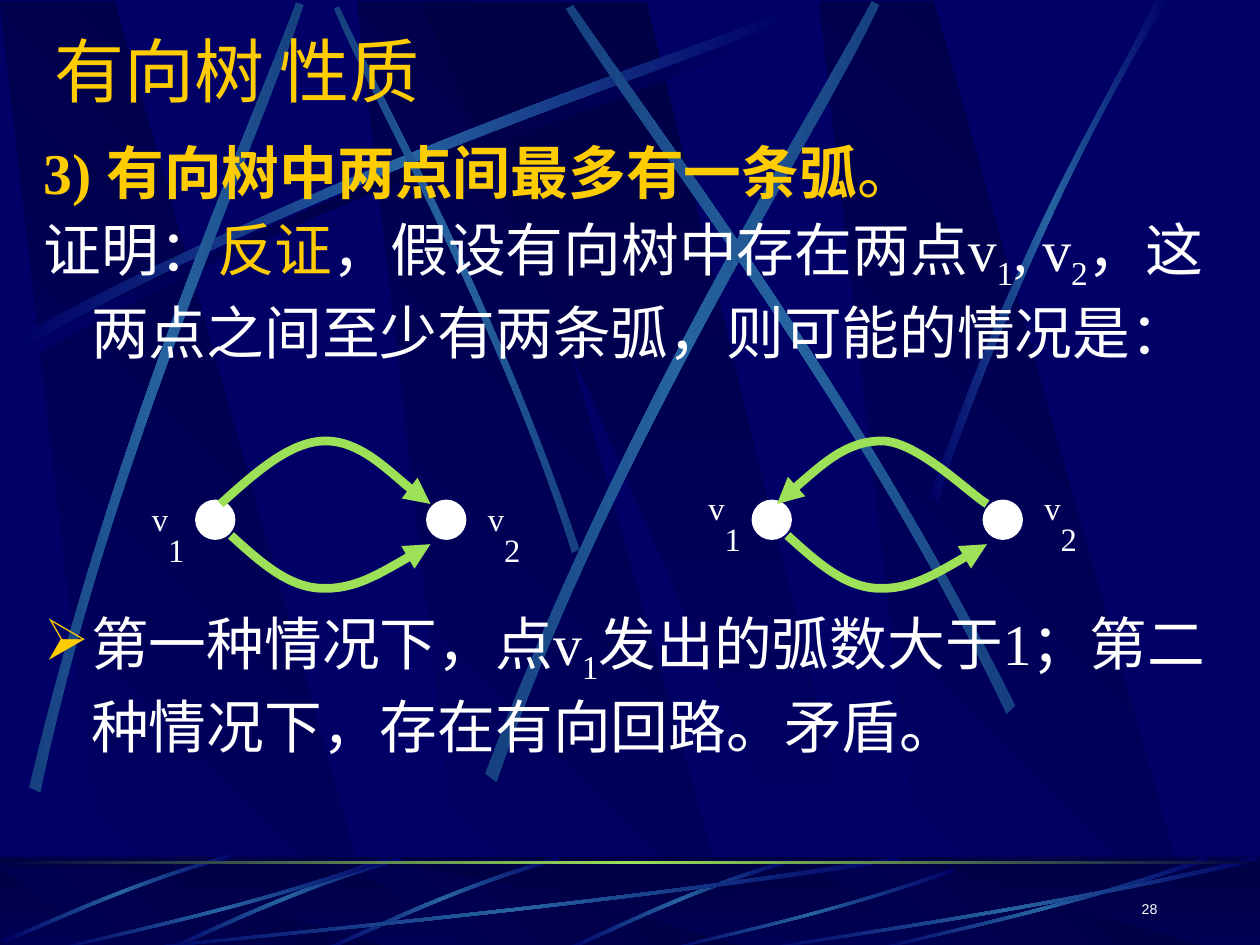
from pptx import Presentation
from pptx.dml.color import RGBColor
from pptx.enum.shapes import MSO_SHAPE as SHAPE
from pptx.enum.text import MSO_ANCHOR as ANCHOR, PP_ALIGN as ALIGN
from pptx.oxml import parse_xml
from pptx.oxml.ns import nsdecls, qn
from pptx.util import Pt
from lxml.etree import SubElement

NAVY, DARK, STEEL, DUSK = "000066", "000044", "2663A0", "164080"
GOLD, WHITE, GREEN = "FFCC00", "FFFFFF", "9CE157"
SERIF, CJK, SANS = "Times New Roman", "Noto Sans CJK SC", "Arial"

TITLE = "有向树 性质"
# Paragraph: space before, bullet, runs of (text, colour, bold, font, baseline %)
BODY = [
    (0, None, [("3) 有向树中", GOLD, True, SERIF, 0),
               ("两点间最多有一条弧", GOLD, True, CJK, 0),
               ("。", GOLD, False, CJK, 0)]),
    (7, None, [("证明：", WHITE, False, SERIF, 0),
               ("反证", GOLD, False, SERIF, 0),
               ("，假设有向树中存在两点v", WHITE, False, SERIF, 0),
               ("1", WHITE, False, SERIF, -25),
               (", v", WHITE, False, SERIF, 0),
               ("2", WHITE, False, SERIF, -25),
               ("，这两点之间至少有两条弧，则可能的情况是：", WHITE, False, SERIF, 0)]),
    (141, "➢", [("第一种情况下，点v", WHITE, False, SERIF, 0),
                ("1", WHITE, False, SERIF, -25),
                ("发出的弧数大于1；第二种情况下，存在有向回路。矛盾。", WHITE, False, SERIF, 0)]),
]
PAGE_NUMBER = "28"

# Graph: left offset, label top, arrow end of the upper arc
GRAPHS = [(0, 276, "tailEnd"), (318, 270, "headEnd")]
NODES = [("1", 114, 66), ("2", 246, 258)]  # index, node left, label left
UPPER_ARC = [(126, 288), (146, 270), (166, 252), (186, 252),
             (206, 252), (236, 282), (246, 288)]
LOWER_ARC = [(132, 306), (148, 320.4), (164.2, 335.5), (183.6, 336.2),
             (202.3, 337), (223.9, 324), (246, 311)]

# Each strand has two curved edges of four points
LONG_STRAND = [(14.4, 198), (204.5, 96.5), (377.3, 42.5), (450.7, 13),
               (452.9, 17.3), (380.2, 49.7), (182.9, 108.7), (16.6, 205.2)]
STEEP_STRANDS = [
    [(331.2, 313.9), (281.5, 168.5), (217.4, 55.4), (193.7, 3.6),
     (190.8, 5), (212.4, 56.9), (286.6, 185.8), (326.9, 316.1)],
    [(16.6, 450), (67, 240.5), (141.8, 75.6), (169.2, 1.4),
     (173.5, 2.9), (149, 78.5), (61.9, 265), (23, 452.9)],
    [(277.2, 442.1), (358.6, 230.4), (459.4, 73.4), (498.2, 0.7),
     (502.6, 2.9), (467.3, 77.8), (349.9, 255.6), (283.7, 447.1)],
    [(580.3, 403.2), (482.4, 211), (371.5, 68.4), (327.6, 2.9),
     (323.3, 5), (365, 72.7), (493.2, 234), (575.3, 408.2)],
]
RIGHT_STRAND = [(531.4, 283.7), (586.1, 124.6), (639.4, 47.5), (660.2, 0),
                (667.4, 0), (601.9, 104.4), (553.7, 231.8), (535.7, 285.8)]
# Floor strands: outline in fractions of a box, then (left, top, width, height)
SHORT_BLADE = [(0.99, 0), (0.53, 0.33), (0.17, 0.8), (0, 0.97),
               (0.01, 1), (0.17, 0.84), (0.58, 0.31), (1, 0.04)]
LONG_BLADE = [(1, 0.04), (0.57, 0.57), (0.17, 0.85), (0, 1),
              (0, 0.98), (0.17, 0.81), (0.61, 0.51), (0.99, 0)]
FLOOR = [
    (SHORT_BLADE, [(322.6, 491, 129.6, 52.6), (184.3, 489.6, 135.4, 54),
                   (94.3, 489.6, 135.4, 54), (1.4, 487.4, 134, 51.2)]),
    (LONG_BLADE, [(72, 489.6, 444.2, 54), (30.2, 489.6, 192, 54),
                  (379.4, 496, 166.4, 47.6), (498.2, 489.6, 192, 54),
                  (432, 489.6, 288, 54)]),
]

prs = Presentation()
prs.slide_width, prs.slide_height = Pt(720), Pt(540)
slide = prs.slides.add_slide(prs.slide_layouts[5])
shapes = slide.shapes


def rgb(value):
    return RGBColor.from_string(value)


def shade(shape, colors, angle=0):
    """Fill with evenly spaced gradient stops and no outline."""
    shape.shadow.inherit = False
    shape.line.fill.background()
    stops = "".join(
        f'<a:gs pos="{100000 * i // (len(colors) - 1)}"><a:srgbClr val="{c}"/></a:gs>'
        for i, c in enumerate(colors))
    geometry = shape.element.spPr.find(qn("a:custGeom"))
    if geometry is None:
        geometry = shape.element.spPr.find(qn("a:prstGeom"))
    geometry.addnext(parse_xml(
        f'<a:gradFill {nsdecls("a")} rotWithShape="1"><a:gsLst>{stops}</a:gsLst>'
        f'<a:lin ang="{angle * 60000}" scaled="0"/></a:gradFill>'))


def outline(points, close=True, curves=()):
    """Freeform; every index in curves starts three segments merged into one Bezier."""
    (x, y), *rest = [(Pt(px), Pt(py)) for px, py in points]
    builder = shapes.build_freeform(x, y, scale=1.0)
    builder.add_line_segments(rest, close=close)
    shape = builder.convert_to_shape()
    segments = list(shape.element.iter(qn("a:lnTo")))
    for start in curves:
        curve = parse_xml(f'<a:cubicBezTo {nsdecls("a")}/>')
        segments[start].addprevious(curve)
        for segment in segments[start:start + 3]:
            curve.append(segment[0])
            segment.getparent().remove(segment)
    return shape


def strand(points, middle=STEEL, end=NAVY):
    shade(outline(points, curves=(0, 4)), [end, middle, end])


def panels(top, bottom):
    for x in (204, 0, 468):
        shade(outline([(x + 62, bottom), (x + 217.5, bottom), (x + 65.5, top), (x, top)]),
              [NAVY, DARK], 315)
    shade(outline([(240, top), (474, bottom), (500, bottom), (369.5, top)]), [DARK, NAVY], 90)


def band(top, height):
    return shapes.add_shape(SHAPE.RECTANGLE, 0, Pt(top), Pt(720), Pt(height))


def add_run(paragraph, text, size, color, font=SERIF, bold=False, baseline=0):
    run = paragraph.add_run()
    run.text = text
    run.font.size, run.font.bold, run.font.name = Pt(size), bold, font
    run.font.color.rgb = rgb(color)
    props = run.font._element
    SubElement(props, qn("a:ea")).set("typeface", CJK)
    if baseline:
        props.set("baseline", str(baseline * 1000))


def text_frame(left, top, width, height, anchor, wrap=True):
    frame = shapes.add_textbox(Pt(left), Pt(top), Pt(width), Pt(height)).text_frame
    frame.word_wrap, frame.vertical_anchor = wrap, anchor
    return frame


def arc(points, offset, arrow_end):
    line = outline([(x + offset, y) for x, y in points], close=False, curves=(0, 3))
    line.shadow.inherit = False
    line.fill.background()
    line.line.color.rgb, line.line.width = rgb(GREEN), Pt(5)
    SubElement(line.line._get_or_add_ln(), qn(f"a:{arrow_end}")).set("type", "triangle")


# Backdrop
slide.background.fill.solid()
slide.background.fill.fore_color.rgb = rgb(NAVY)
panels(1, 540)
strand(LONG_STRAND, middle=DARK)
strand([(x - 4.3, y - 5.8) for x, y in LONG_STRAND])
for steep in STEEP_STRANDS:
    strand(steep, end=DUSK)
strand(RIGHT_STRAND)
shade(band(489.6, 50.4), [DARK, NAVY], 90)
panels(495.5, 540)
veil = band(489.6, 50.4)
veil.shadow.inherit = False
veil.line.fill.background()
veil.fill.solid()
veil.fill.fore_color.rgb = rgb(DARK)
SubElement(next(veil.element.spPr.iter(qn("a:srgbClr"))), qn("a:alpha")).set("val", "50000")
for blade, boxes in FLOOR:
    for left, top, width, height in boxes:
        strand([(left + fx * width, top + fy * height) for fx, fy in blade])
shade(band(492.2, 1.8), [DARK, GREEN, DARK])

# Title and proof
title = shapes.title
shapes.element.append(title.element)
title.left, title.top, title.width, title.height = Pt(24), Pt(12), Pt(696), Pt(55.5)
title.text_frame.vertical_anchor = ANCHOR.MIDDLE
heading = title.text_frame.paragraphs[0]
heading.alignment = ALIGN.LEFT
add_run(heading, TITLE, 40, GOLD)

body = text_frame(18, 72, 690, 414, ANCHOR.TOP)
for i, (space, bullet, runs) in enumerate(BODY):
    paragraph = body.paragraphs[0] if i == 0 else body.add_paragraph()
    paragraph.space_before, paragraph.line_spacing = Pt(space), Pt(42.2)
    props = paragraph._p.get_or_add_pPr()
    props.set("marL", str(Pt(27)))
    props.set("indent", str(-Pt(27)))
    if bullet:
        color = SubElement(props, qn("a:buClr"))
        SubElement(color, qn("a:srgbClr")).set("val", GOLD)
        SubElement(props, qn("a:buChar")).set("char", bullet)
    for text, color, bold, font, baseline in runs:
        add_run(paragraph, text, 33, color, font, bold, baseline)

# The two cases
for offset, label_top, upper_end in GRAPHS:
    for index, node_left, label_left in NODES:
        node = shapes.add_shape(SHAPE.OVAL, Pt(node_left + offset), Pt(288), Pt(18), Pt(18))
        node.shadow.inherit = False
        node.fill.solid()
        node.fill.fore_color.rgb = node.line.color.rgb = rgb(WHITE)
        node.line.width = Pt(5)
        label = text_frame(label_left + offset, label_top, 60, 54, ANCHOR.MIDDLE, wrap=False)
        label.paragraphs[0].alignment = ALIGN.CENTER
        add_run(label.paragraphs[0], "v", 32, WHITE, baseline=30)
        add_run(label.paragraphs[0], index, 32, WHITE, baseline=-25)
    arc(UPPER_ARC, offset, upper_end)
    arc(LOWER_ARC, offset, "tailEnd")

footer = text_frame(518.5, 497, 150, 36, ANCHOR.BOTTOM).paragraphs[0]
footer.alignment = ALIGN.RIGHT
add_run(footer, PAGE_NUMBER, 14, WHITE, SANS, baseline=30)

prs.save("out.pptx")
